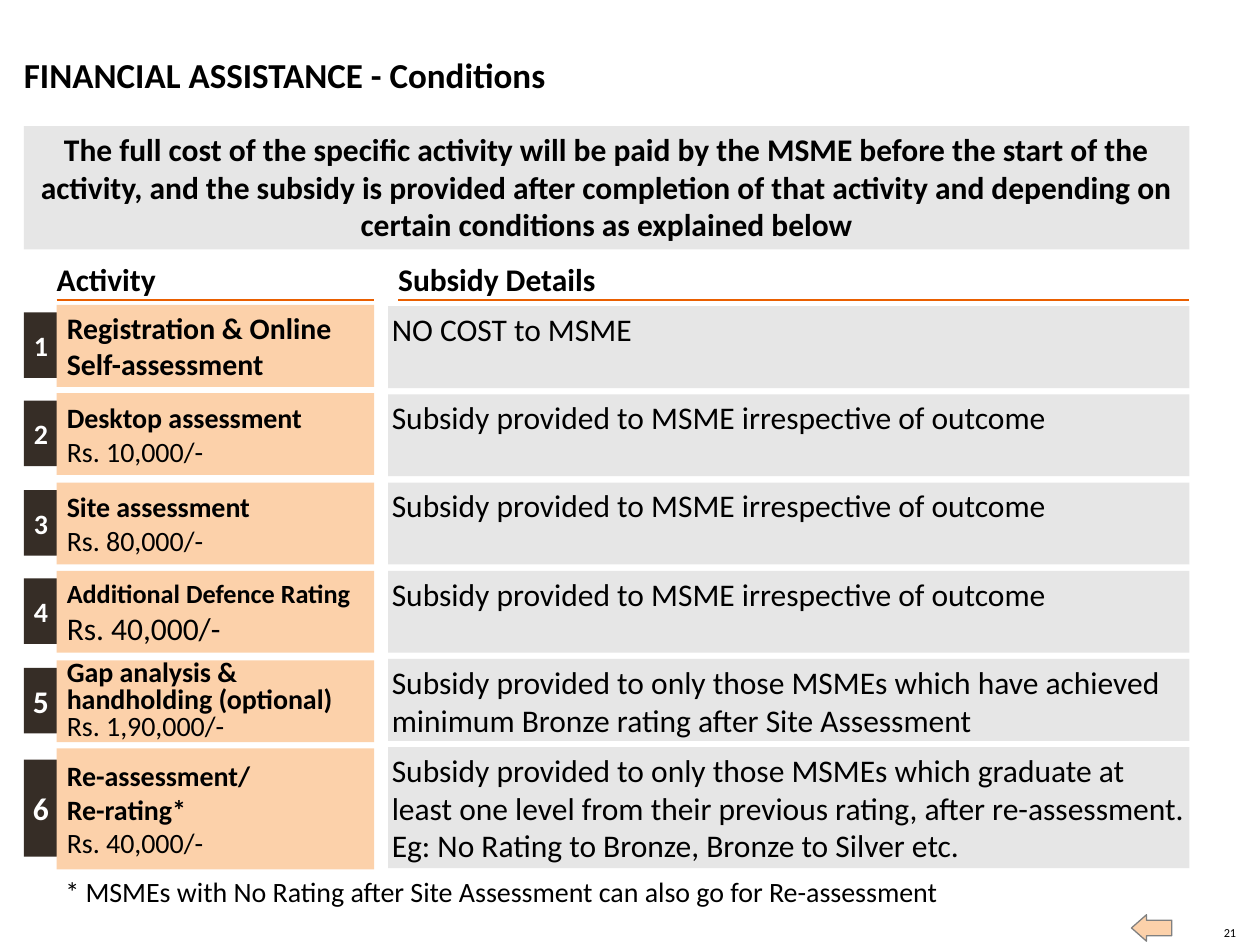
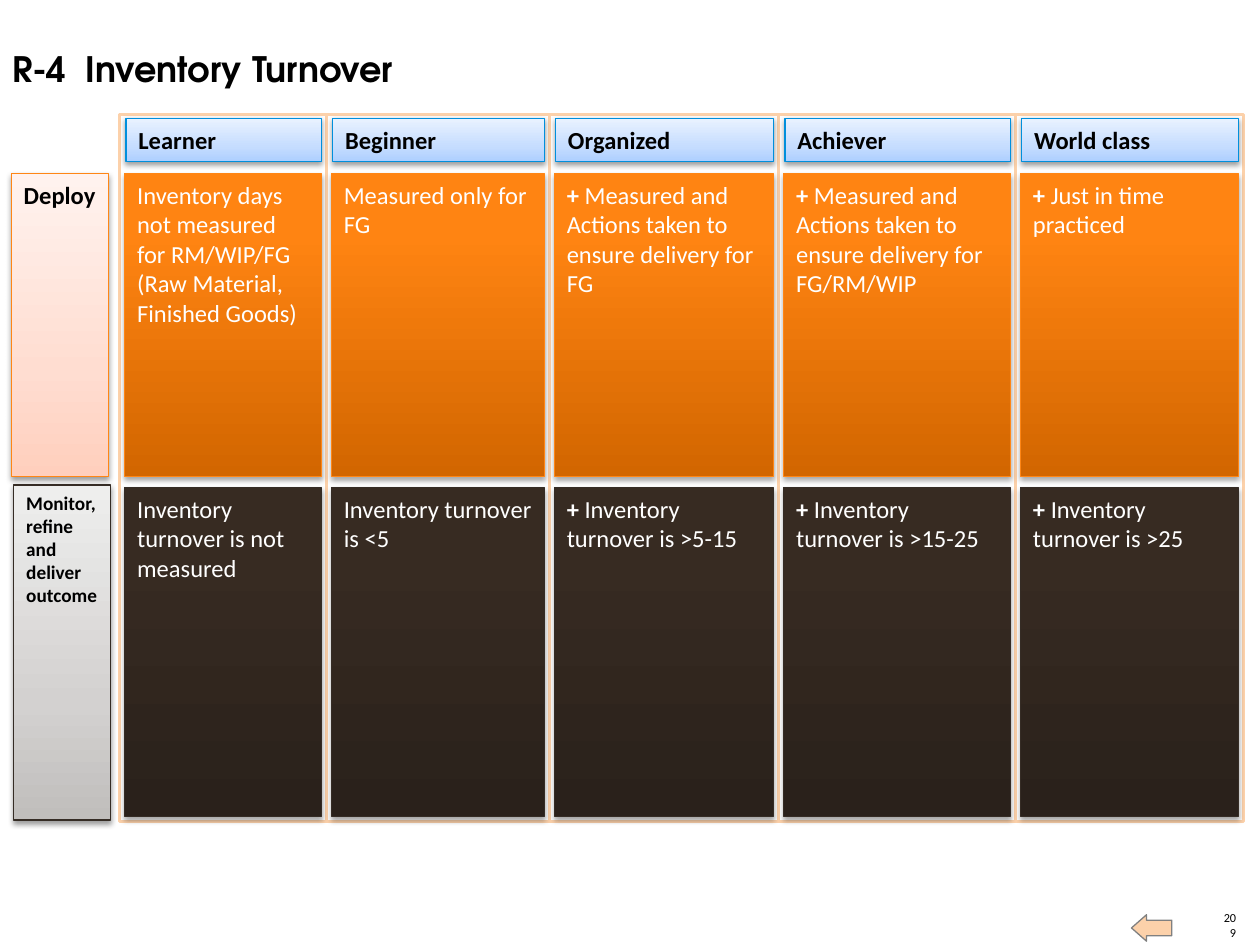
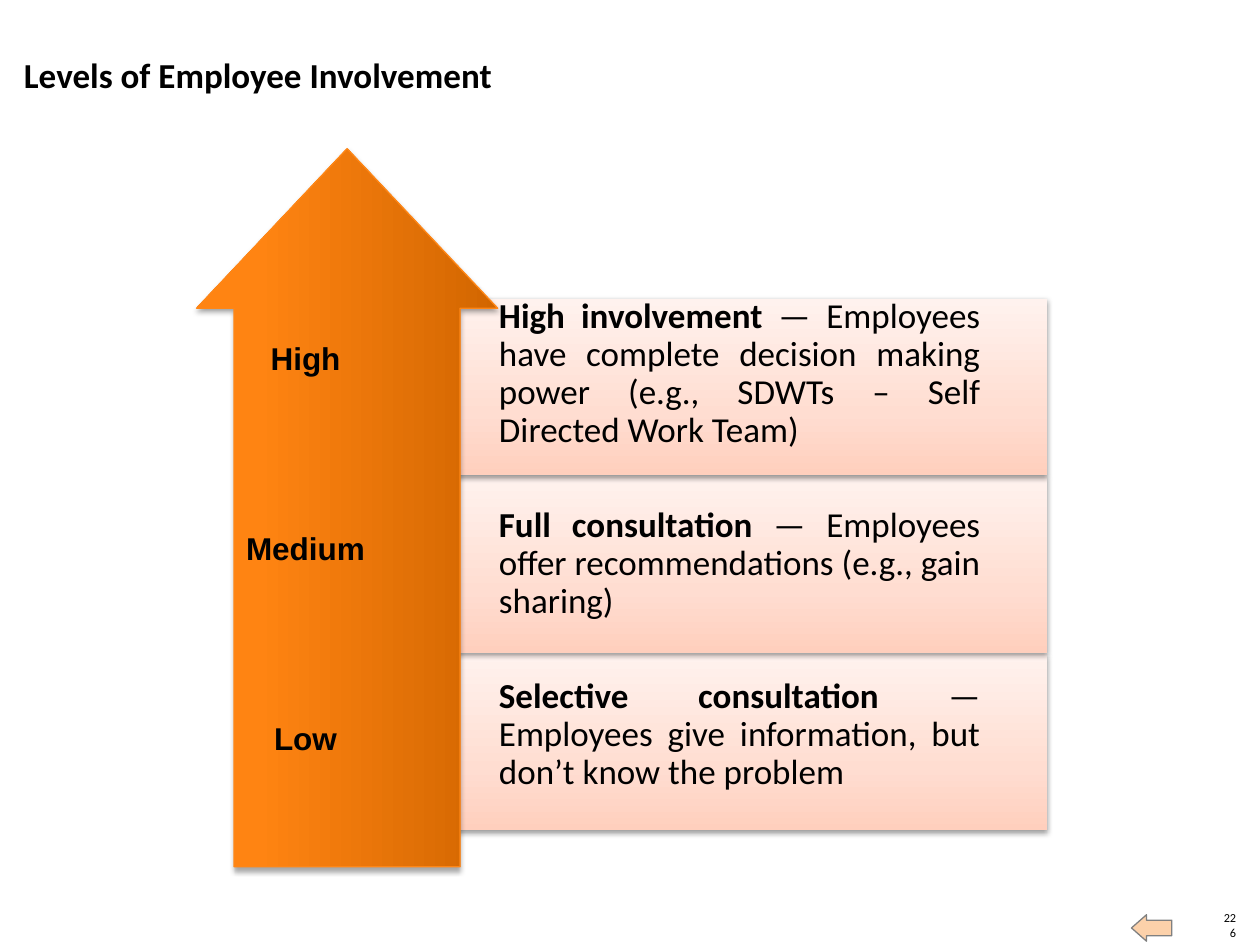
from lxml import etree
from pptx import Presentation
from pptx.dml.color import RGBColor
from pptx.enum.shapes import MSO_CONNECTOR, MSO_SHAPE
from pptx.enum.text import MSO_ANCHOR, PP_ALIGN
from pptx.oxml.ns import qn
from pptx.util import Pt

PX = 9144

RECT, LEFT_ARROW, UP_ARROW = MSO_SHAPE.RECTANGLE, MSO_SHAPE.LEFT_ARROW, MSO_SHAPE.UP_ARROW
STRAIGHT = MSO_CONNECTOR.STRAIGHT
TOP, MIDDLE, BOTTOM = MSO_ANCHOR.TOP, MSO_ANCHOR.MIDDLE, MSO_ANCHOR.BOTTOM
CENTER, RIGHT, JUSTIFY = PP_ALIGN.CENTER, PP_ALIGN.RIGHT, PP_ALIGN.JUSTIFY

BLACK = RGBColor(0x00, 0x00, 0x00)
WHITE = RGBColor(0xFF, 0xFF, 0xFF)
GRAY = RGBColor(0xE6, 0xE6, 0xE6)
MID_GRAY = RGBColor(0x80, 0x80, 0x80)
PEACH = RGBColor(0xFC, 0xD1, 0xAA)
BADGE = RGBColor(0x36, 0x2D, 0x26)
RULE = RGBColor(0xEA, 0x5F, 0x00)
ORANGE_LINE = RGBColor(0xFF, 0x86, 0x15)
BLUE_LINE = RGBColor(0x00, 0x8F, 0xDC)
BROWN_LINE = RGBColor(0x35, 0x2C, 0x25)

ROSE = ((0, RGBColor(0xFF, 0xCF, 0xBD)), (35, RGBColor(0xFF, 0xDD, 0xD1)),
        (100, RGBColor(0xFF, 0xF2, 0xEE)))
BLUE = ((0, RGBColor(0xAE, 0xCF, 0xFF)), (35, RGBColor(0xC6, 0xDD, 0xFF)),
        (100, RGBColor(0xE9, 0xF2, 0xFF)))
SILVER = ((0, RGBColor(0xC0, 0xBE, 0xBC)), (35, RGBColor(0xD3, 0xD1, 0xD0)),
          (100, RGBColor(0xEE, 0xEE, 0xED)))
ORANGE = ((0, RGBColor(0xD2, 0x66, 0x00)), (80, RGBColor(0xFF, 0x84, 0x12)),
          (100, RGBColor(0xFF, 0x85, 0x14)))
BROWN = ((0, RGBColor(0x2A, 0x21, 0x1B)), (80, RGBColor(0x37, 0x2B, 0x22)),
         (100, RGBColor(0x37, 0x2B, 0x22)))

SOFT = {"dist": 20000, "alpha": 38000}
STRONG = {"dist": 23000, "alpha": 35000}

BOLD = {"bold": True}
SIDES = ("margin_left", "margin_top", "margin_right", "margin_bottom")
DEFAULT_INSETS = (10, 5, 10, 5)
FLUSH = (0, 0, 0, 0)

ACTIVITIES = [
    (65, 16, 1, [[("Registration & Online Self-assessment", {"bold": True, "size": Pt(17)})]],
     "NO COST to MSME"),
    (65, 16, 1, [[("Desktop assessment", BOLD)], [("Rs. 10,000/-", {})]],
     "Subsidy provided to MSME irrespective of outcome"),
    (65, 16, 1, [[("Site assessment", BOLD)], [("Rs. 80,000/-", {})]],
     "Subsidy provided to MSME irrespective of outcome"),
    (65, 16, 1, [[("Additional Defence Rating", {"bold": True, "size": Pt(15)})],
                 [("Rs. 40,000/-", {"size": Pt(18)})]],
     "Subsidy provided to MSME irrespective of outcome"),
    (65, 18, 0.8, [[("Gap analysis & handholding (optional)", BOLD)], [("Rs. 1,90,000/-", {})]],
     "Subsidy provided to only those MSMEs which have achieved minimum Bronze rating "
     "after Site Assessment"),
    (96, 18, 1, [[("Re-assessment/", BOLD)], [("Re-rating*", BOLD)], [("Rs. 40,000/-", {})]],
     "Subsidy provided to only those MSMEs which graduate at least one level from their "
     "previous rating, after re-assessment. Eg: No Rating to Bronze, Bronze to Silver etc."),
]

COLUMN_EDGES = (95, 259, 436, 618, 806, 987)
LEVELS = [
    ("Learner", "", "Inventory days not measured for RM/WIP/FG (Raw Material, Finished Goods)",
     "Inventory turnover is not measured"),
    ("Beginner", "", "Measured only for FG", "Inventory turnover is <5"),
    ("Organized", "+ ", "Measured and Actions taken to ensure delivery for FG",
     "Inventory turnover is >5-15"),
    ("Achiever", "+ ", "Measured and Actions taken to ensure delivery for FG/RM/WIP",
     "Inventory turnover is >15-25"),
    ("World class", "+ ", "Just in time practiced", "Inventory turnover is >25"),
]

INVOLVEMENT = [
    ("High", "High involvement ",
     "— Employees have complete decision making power (e.g., SDWTs – Self Directed Work Team)"),
    ("Medium", "Full consultation ", "— Employees offer recommendations (e.g., gain sharing)"),
    ("Low", "Selective consultation ",
     "— Employees give information, but don’t know the problem"),
]


def scaled(*lengths):
    return [round(v * PX) for v in lengths]


def plain(text, **font):
    return [[(text, font)]]


def set_values(obj, values):
    for name, value in values.items():
        setattr(obj, name, value)


def write(sp, paras, size, color=BLACK, name="Calibri", insets=DEFAULT_INSETS,
          anchor=TOP, gap=0, **para):
    tf = sp.text_frame
    set_values(tf, {"word_wrap": True, "vertical_anchor": anchor})
    set_values(tf, dict(zip(SIDES, scaled(*insets))))
    for i, runs in enumerate(paras):
        p = tf.add_paragraph() if i else tf.paragraphs[0]
        set_values(p, {"alignment": PP_ALIGN.LEFT, **para})
        if i and gap:
            p.space_before = Pt(gap)
        for text, font in runs:
            r = p.add_run()
            r.text = text
            set_values(r.font, {"name": name, "size": Pt(size), "bold": False, **font})
            r.font.color.rgb = color


def text_box(s, box, paras, size, **style):
    sp = s.shapes.add_textbox(*scaled(*box))
    write(sp, paras, size, **style)
    return sp


def add_gradient(sp, stops, angle):
    sp.fill.gradient()
    sp.fill.gradient_angle = angle
    gs_list = sp.fill._xPr.find(qn("a:gradFill")).find(qn("a:gsLst"))
    for gs in list(gs_list):
        gs_list.remove(gs)
    for pos, color in stops:
        gs = etree.SubElement(gs_list, qn("a:gs"), pos=str(pos * 1000))
        etree.SubElement(gs, qn("a:srgbClr"), val=str(color))


def add_shadow(sp, dist, alpha):
    effects = sp._element.spPr.find(qn("a:effectLst"))
    outer = etree.SubElement(effects, qn("a:outerShdw"), blurRad="40000", dist=str(dist),
                             dir="5400000", rotWithShape="0")
    color = etree.SubElement(outer, qn("a:srgbClr"), val=str(BLACK))
    etree.SubElement(color, qn("a:alpha"), val=str(alpha))


def block(s, box, fill, line=None, width=0.75, kind=RECT, shadow=None, angle=90):
    sp = s.shapes.add_shape(kind, *scaled(*box))
    sp.shadow.inherit = False
    if isinstance(fill, RGBColor):
        sp.fill.solid()
        sp.fill.fore_color.rgb = fill
    else:
        add_gradient(sp, fill, angle)
    if line is None:
        sp.line.fill.background()
    else:
        sp.line.color.rgb = line
        sp.line.width = Pt(width)
    if shadow:
        add_shadow(sp, **shadow)
    return sp


def rule(s, left, right, y):
    c = s.shapes.add_connector(STRAIGHT, *scaled(left, y, right, y))
    c.line.color.rgb = RULE
    c.line.width = Pt(1.5)
    etree.SubElement(c._element.spPr, qn("a:effectLst"))


def new_slide(prs, number):
    s = prs.slides.add_slide(prs.slide_layouts[6])
    text_box(s, (969, 734, 12, 12), plain(number), 7, insets=FLUSH,
             anchor=BOTTOM, alignment=RIGHT)
    arrow = block(s, (898, 726, 32, 21), PEACH, MID_GRAY, kind=LEFT_ARROW)
    arrow.adjustments[0], arrow.adjustments[1] = 0.59, 0.57
    return s


def title(s, text):
    text_box(s, (19, 42, 765, 34), plain(text, bold=True), 20, insets=FLUSH, anchor=BOTTOM)


def column_heading(s, left, right, text):
    text_box(s, (left, 206, right - left, 32), plain(text, bold=True), 18,
             insets=(0, 0, 0, 2), anchor=BOTTOM)
    rule(s, left, right, 238)


def activity_row(s, i, height, badge_size, spacing, activity, detail):
    top = round(242 + 70.4 * i)
    badge = block(s, (19, top + height // 10, 27, round(height * 0.8)), BADGE)
    write(badge, plain(str(i + 1), bold=True), badge_size, color=WHITE, insets=FLUSH,
          anchor=MIDDLE, alignment=CENTER)
    sp = block(s, (45, top, 252, height), PEACH)
    write(sp, activity, 16, insets=(8, 8, 8, 8), anchor=MIDDLE, line_spacing=spacing)
    sp = block(s, (308, 243 + 70 * i, 636, height), GRAY)
    write(sp, plain(detail), 18, insets=(3, 3, 3, 3))


def conditions_slide(prs):
    s = new_slide(prs, "21")
    title(s, "FINANCIAL ASSISTANCE - Conditions")
    banner = block(s, (19, 100, 925, 98), GRAY)
    write(banner, plain("The full cost of the specific activity will be paid by the MSME before "
                        "the start of the activity, and the subsidy is provided after completion "
                        "of that activity and depending on certain conditions as explained below",
                        bold=True), 18, insets=(3, 3, 3, 3), alignment=CENTER)
    column_heading(s, 45, 297, "Activity")
    column_heading(s, 316, 944, "Subsidy Details")
    for i, row in enumerate(ACTIVITIES):
        activity_row(s, i, *row)
    text_box(s, (42, 689, 902, 37),
             plain("* MSMEs with No Rating after Site Assessment can also go for Re-assessment"), 16)


def card(s, box, mark, text, fill, line):
    sp = block(s, box, fill, line, shadow=STRONG)
    runs = [(mark, BOLD)] if mark else []
    write(sp, [runs + [(text, {})]], 14, color=WHITE)


def label(s, box, text, size, fill, line):
    sp = block(s, box, fill, line, shadow=SOFT)
    write(sp, plain(text, bold=True), size)


def tabbed_title(s, code, text):
    sp = s.shapes.add_textbox(*scaled(0, 33, 860, 44))
    p_pr = sp.text_frame.paragraphs[0]._p.get_or_add_pPr()
    tabs = etree.SubElement(p_pr, qn("a:tabLst"))
    etree.SubElement(tabs, qn("a:tab"), pos=str(58 * PX), algn="l")
    write(sp, plain(f"{code}\t{text}", bold=True), 20, name="TeX Gyre Adventor")


def turnover_slide(prs):
    s = new_slide(prs, "209")
    tabbed_title(s, "R-4", "Inventory Turnover")
    label(s, (9, 138, 77, 240), "Deploy", 14, ROSE, ORANGE_LINE)
    columns = list(zip(COLUMN_EDGES, COLUMN_EDGES[1:]))
    for left, right in columns:
        block(s, (left, 91, right - left, 561), WHITE, PEACH, 2)
    for (left, right), (level, mark, deploy, outcome) in zip(columns, LEVELS):
        width = right - left
        card(s, (left + 4, 138, width - 8, 240), mark, deploy, ORANGE, ORANGE_LINE)
        label(s, (left + 5, 94, width - 9, 34), level, 14, BLUE, BLUE_LINE)
        card(s, (left + 4, 387, width - 8, 261), mark, outcome, BROWN, BROWN_LINE)
    label(s, (11, 385, 77, 266), "Monitor, refine and deliver outcome", 11, SILVER, BROWN_LINE)


def involvement_slide(prs):
    s = new_slide(prs, "226")
    for i in reversed(range(len(INVOLVEMENT))):
        block(s, (267, 237 + 141 * i, 564, 140), ROSE, shadow=SOFT)
    arrow = block(s, (156, 118, 239, 570), ORANGE, ORANGE_LINE, kind=UP_ARROW,
                  shadow=STRONG, angle=180)
    arrow.adjustments[0], arrow.adjustments[1] = 0.75, 0.53
    write(arrow, [[(level, BOLD)] for level, _, _ in INVOLVEMENT], 18, name="Arial",
          insets=(0, 0, 66, 87), anchor=BOTTOM, gap=87, alignment=CENTER)
    title(s, "Levels of Employee Involvement")
    text_box(s, (396, 237, 382, 429),
             [[(name, BOLD), (meaning, {})] for _, name, meaning in INVOLVEMENT], 20,
             insets=FLUSH, gap=33, alignment=JUSTIFY, line_spacing=0.9)


def main():
    prs = Presentation()
    prs.slide_width, prs.slide_height = scaled(1000, 750)
    conditions_slide(prs)
    turnover_slide(prs)
    involvement_slide(prs)
    prs.save("out.pptx")


if __name__ == "__main__":
    main()
